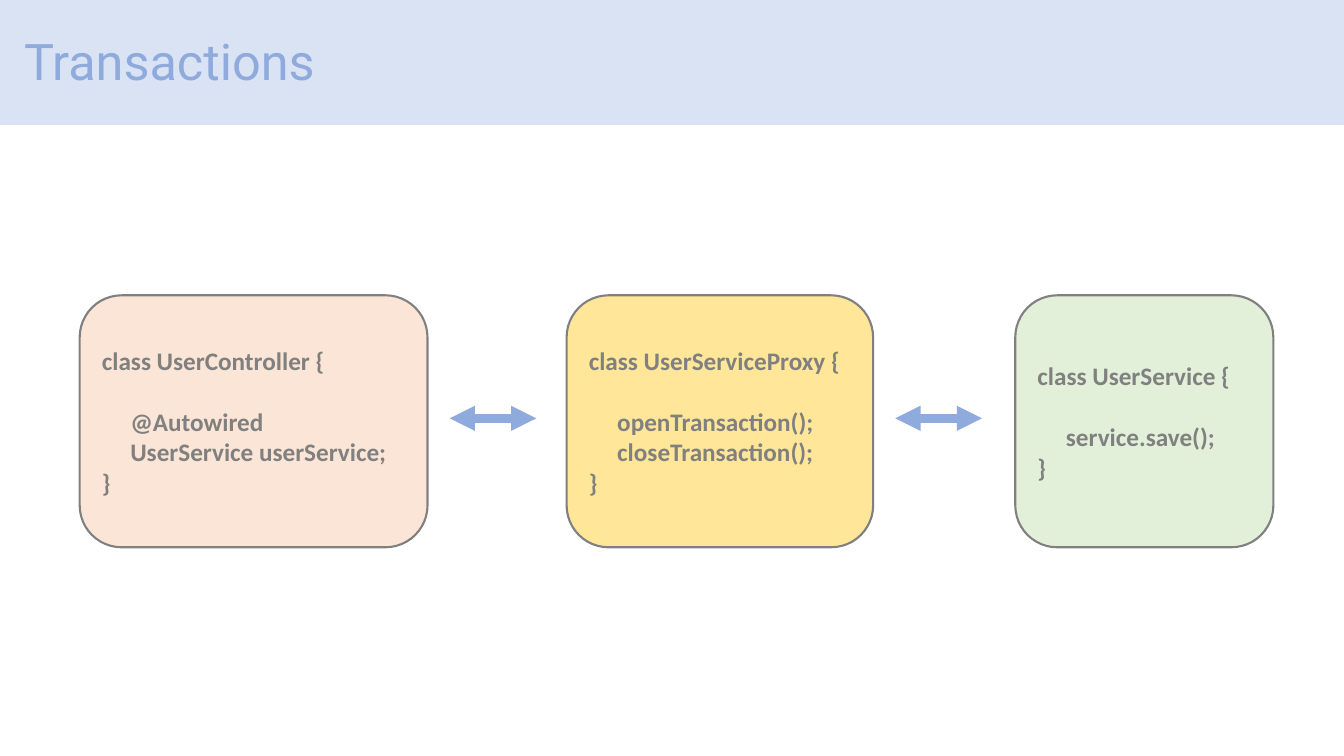
from lxml import etree
from pptx import Presentation
from pptx.dml.color import RGBColor
from pptx.enum.shapes import MSO_CONNECTOR, MSO_SHAPE
from pptx.enum.text import MSO_ANCHOR, PP_ALIGN
from pptx.oxml.ns import qn
from pptx.util import Inches, Pt

RECT, ROUND = MSO_SHAPE.RECTANGLE, MSO_SHAPE.ROUNDED_RECTANGLE
STRAIGHT = MSO_CONNECTOR.STRAIGHT
MIDDLE, LEFT = MSO_ANCHOR.MIDDLE, PP_ALIGN.LEFT

WHITE = RGBColor(0xFF, 0xFF, 0xFF)
PALE = RGBColor(0xDA, 0xE3, 0xF3)
BLUE = RGBColor(0x8F, 0xAA, 0xDC)
GREY = RGBColor(0x80, 0x80, 0x80)
PEACH = RGBColor(0xFB, 0xE5, 0xD6)
GOLD = RGBColor(0xFF, 0xE6, 0x99)
GREEN = RGBColor(0xE2, 0xF0, 0xD9)

TITLE = "Transactions"
# left, width, fill, code lines
CLASSES = [
    (0.79, 3.45, PEACH, ["class UserController {", "     @Autowired",
                         "     UserService userService;", "}"]),
    (5.62, 3.04, GOLD, ["class UserServiceProxy {", "     openTransaction();",
                        "     closeTransaction();", "}"]),
    (10.07, 2.56, GREEN, ["class UserService {", "     service.save();", "}"]),
]
TOP, HEIGHT = 2.93, 2.5
ARROW_Y, ARROW_GAP, ARROW_LEN = 4.15, 0.22, 0.86
BODY_GAP = 22  # one line of code, in points


def add_box(slide, kind, box, fill, line, weight):
    shape = slide.shapes.add_shape(kind, *map(Inches, box))
    shape.shadow.inherit = False
    shape.fill.solid()
    shape.fill.fore_color.rgb = fill
    shape.line.color.rgb = line
    shape.line.width = Pt(weight)
    return shape


def write(shape, lines, font, size, color, bold=False, gap=0, spacing=1.0):
    """Fill a shape with lines; gap is the space before the second one."""
    frame = shape.text_frame
    frame.word_wrap = True
    frame.vertical_anchor = MIDDLE
    for i, line in enumerate(lines):
        para = frame.add_paragraph() if i else frame.paragraphs[0]
        para.alignment = LEFT
        para.line_spacing = spacing
        if i == 1:
            para.space_before = Pt(gap)
        run = para.add_run()
        run.text = line
        run.font.name = font
        run.font.size = Pt(size)
        run.font.bold = bold
        run.font.color.rgb = color


def add_arrow(slide, left):
    """Draw a thick arrow with a head at both ends."""
    y = Inches(ARROW_Y)
    arrow = slide.shapes.add_connector(
        STRAIGHT, Inches(left), y, Inches(left + ARROW_LEN), y)
    arrow.line.color.rgb = BLUE
    arrow.line.width = Pt(6)
    outline = arrow.line._get_or_add_ln()
    for end in ("a:headEnd", "a:tailEnd"):
        etree.SubElement(outline, qn(end), type="triangle")
    etree.SubElement(arrow._element.spPr, qn("a:effectLst"))


def main():
    deck = Presentation()
    deck.slide_width, deck.slide_height = Inches(13.33), Inches(7.5)
    slide = deck.slides.add_slide(deck.slide_layouts[6])

    add_box(slide, RECT, (-0.14, -0.04, 13.57, 1.29), PALE, WHITE, 1)
    title = slide.shapes.add_textbox(*map(Inches, (0.14, -0.09, 11.5, 1.45)))
    write(title, [TITLE], "Roboto", 36, BLUE, spacing=0.9)

    for i, (left, width, fill, code) in enumerate(CLASSES):
        card = add_box(slide, ROUND, (left, TOP, width, HEIGHT), fill, GREY, 1.5)
        write(card, code, "Calibri", 18, GREY, bold=True, gap=BODY_GAP)
        if i < len(CLASSES) - 1:
            add_arrow(slide, left + width + ARROW_GAP)

    deck.save("out.pptx")


if __name__ == "__main__":
    main()
